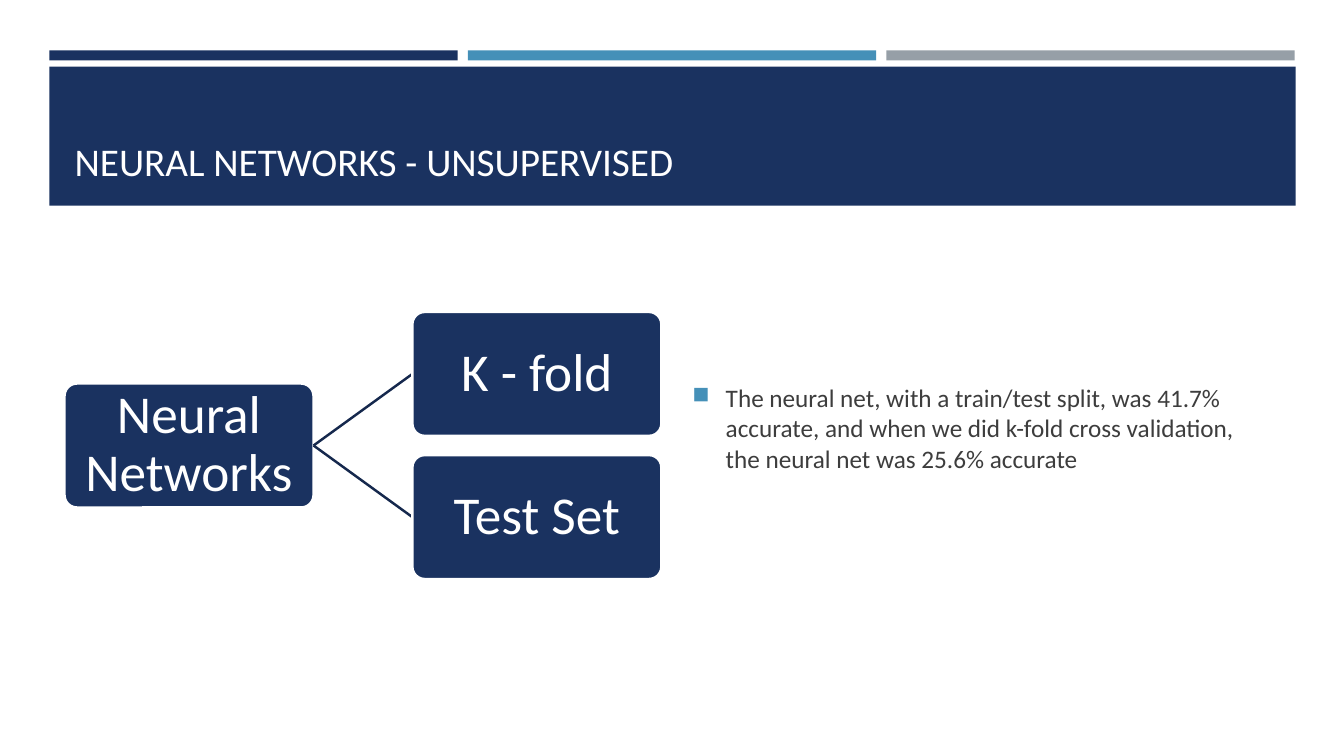
from lxml.etree import SubElement
from pptx import Presentation
from pptx.dml.color import RGBColor
from pptx.enum.shapes import MSO_CONNECTOR, MSO_SHAPE
from pptx.enum.text import MSO_ANCHOR, PP_ALIGN
from pptx.oxml.ns import qn
from pptx.util import Inches, Pt

NAVY = RGBColor(0x1A, 0x32, 0x60)
DARK_NAVY = RGBColor(0x15, 0x28, 0x4D)
BLUE = RGBColor(0x45, 0x90, 0xB8)
GREY = RGBColor(0x96, 0x9F, 0xA7)
WHITE = RGBColor(0xFF, 0xFF, 0xFF)
TEXT_GREY = RGBColor(0x3D, 0x3D, 0x3D)

TITLE = "NEURAL NETWORKS - UNSUPERVISED"
ROOT = "Neural Networks"
BRANCHES = ["K - fold", "Test Set"]
FINDING = ("The neural net, with a train/test split, was 41.7% accurate, and when we did "
           "k-fold cross validation, the neural net was 25.6% accurate")
STRIPES = [NAVY, BLUE, GREY]

FONT = "Calibri"
MARGIN, STRIPE_WIDTH, STRIPE_STEP = 0.49, 4.05, 4.15
NODE_WIDTH, NODE_HEIGHT = 2.47, 1.23
ROOT_LEFT, BRANCH_LEFT = 0.64, 4.09
TREE_MIDDLE, BRANCH_STEP = 4.42, 1.42


def style_text(frame, size, color):
    """Format every run of a text frame."""
    for paragraph in frame.paragraphs:
        for run in paragraph.runs:
            run.font.name = FONT
            run.font.size = Pt(size)
            run.font.color.rgb = color


def add_bar(slide, left, top, width, height, color):
    """Add a plain filled rectangle."""
    bar = slide.shapes.add_shape(MSO_SHAPE.RECTANGLE, Inches(left), Inches(top),
                                 Inches(width), Inches(height))
    bar.shadow.inherit = False
    bar.fill.solid()
    bar.fill.fore_color.rgb = color
    bar.line.fill.background()


def add_node(slide, label, left, middle):
    """Add a rounded tree node centred on a height."""
    node = slide.shapes.add_shape(MSO_SHAPE.ROUNDED_RECTANGLE, Inches(left),
                                  Inches(middle - NODE_HEIGHT / 2),
                                  Inches(NODE_WIDTH), Inches(NODE_HEIGHT))
    node.adjustments[0] = 0.1
    node.shadow.inherit = False
    node.fill.solid()
    node.fill.fore_color.rgb = NAVY
    node.line.color.rgb = WHITE
    node.line.width = Pt(1.75)
    frame = node.text_frame
    frame.text = label
    frame.word_wrap = True
    frame.vertical_anchor = MSO_ANCHOR.MIDDLE
    frame.margin_left = frame.margin_right = Inches(0.03)
    frame.margin_top = frame.margin_bottom = Inches(0.03)
    frame.paragraphs[0].alignment = PP_ALIGN.CENTER
    frame.paragraphs[0].line_spacing = 0.9
    style_text(frame, 38, WHITE)
    return node


def add_tree(slide):
    """Add the root node and its joined branches."""
    root = add_node(slide, ROOT, ROOT_LEFT, TREE_MIDDLE)
    for index, label in enumerate(BRANCHES):
        middle = TREE_MIDDLE + (index - (len(BRANCHES) - 1) / 2) * BRANCH_STEP
        link = slide.shapes.add_connector(
            MSO_CONNECTOR.STRAIGHT, Inches(ROOT_LEFT + NODE_WIDTH), Inches(TREE_MIDDLE),
            Inches(BRANCH_LEFT), Inches(middle))
        link.line.color.rgb = DARK_NAVY
        link.line.width = Pt(1.75)
        SubElement(link._element.spPr, qn("a:effectLst"))
        branch = add_node(slide, label, BRANCH_LEFT, middle)
        link.begin_connect(root, 3)
        link.end_connect(branch, 1)


def add_finding(slide):
    """Add the bulleted finding beside the tree."""
    finding = slide.shapes.add_textbox(Inches(6.77), Inches(2.44), Inches(5.93), Inches(3.97))
    frame = finding.text_frame
    frame.text = FINDING
    frame.word_wrap = True
    frame.vertical_anchor = MSO_ANCHOR.MIDDLE
    frame.margin_bottom = Inches(0.41)
    style_text(frame, 18, TEXT_GREY)
    properties = frame.paragraphs[0]._p.get_or_add_pPr()
    properties.set("marL", str(Inches(0.33)))
    properties.set("indent", str(-Inches(0.33)))
    bullet_color = SubElement(properties, qn("a:buClr"))
    SubElement(bullet_color, qn("a:srgbClr"), val=str(BLUE))
    SubElement(properties, qn("a:buSzPct"), val="92000")
    SubElement(properties, qn("a:buChar"), char="■")


def add_title(slide):
    """Fill the title and bring it in front of the banner."""
    title = slide.shapes.title
    title.left, title.top = Inches(0.64), Inches(0.8)
    title.width, title.height = Inches(12.06), Inches(1.08)
    frame = title.text_frame
    frame.text = TITLE
    frame.vertical_anchor = MSO_ANCHOR.BOTTOM
    frame.paragraphs[0].alignment = PP_ALIGN.LEFT
    style_text(frame, 28, WHITE)
    slide.shapes._spTree.append(title._element)


def main():
    """Build and save the slide."""
    deck = Presentation()
    deck.slide_width, deck.slide_height = Inches(13.33), Inches(7.5)
    slide = deck.slides.add_slide(deck.slide_layouts[5])
    for index, color in enumerate(STRIPES):
        add_bar(slide, MARGIN + index * STRIPE_STEP, 0.5, STRIPE_WIDTH, 0.1, color)
    add_bar(slide, MARGIN, 0.66, 12.36, 1.38, NAVY)
    add_title(slide)
    add_tree(slide)
    add_finding(slide)
    deck.save("out.pptx")


if __name__ == "__main__":
    main()
